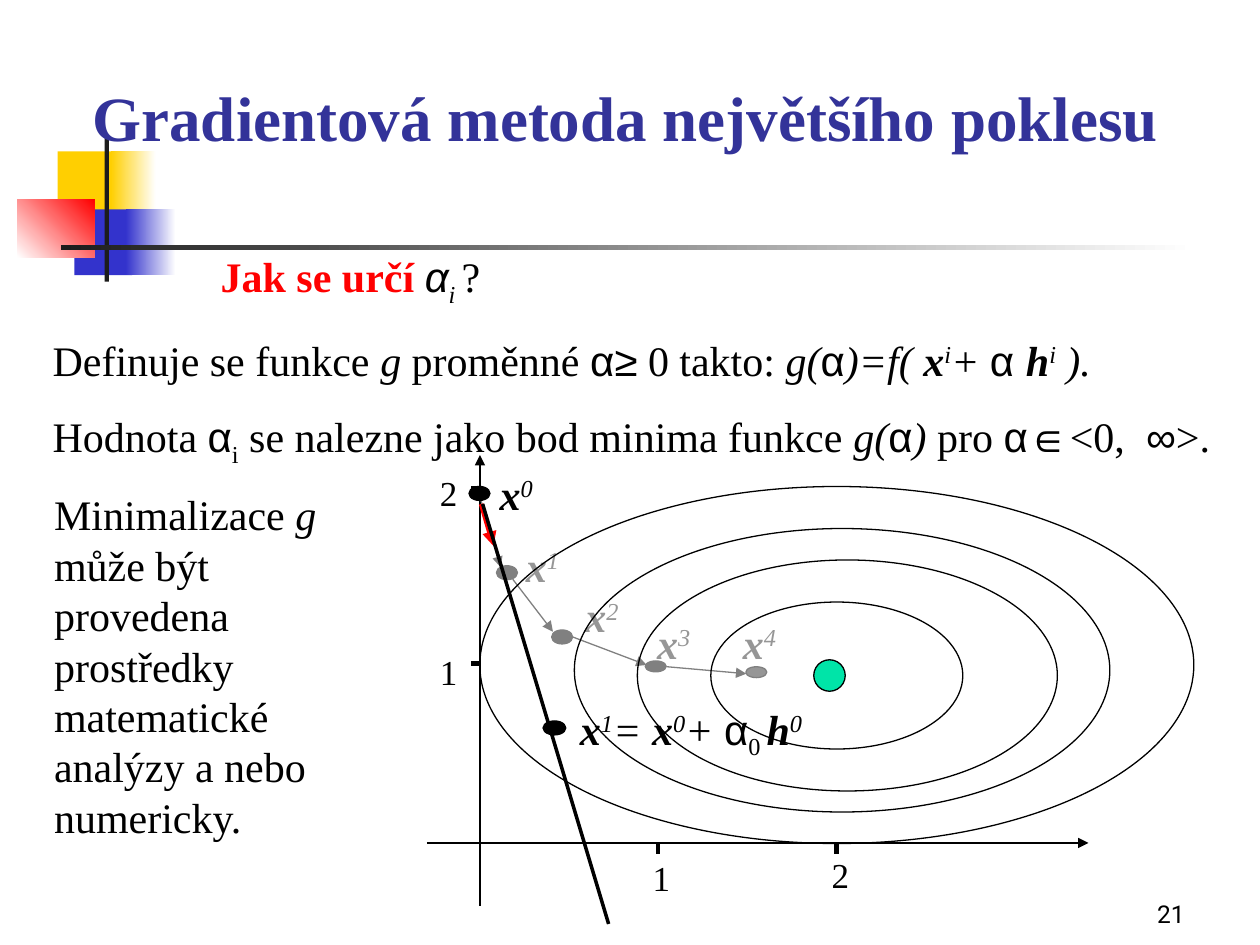
from lxml import etree
from pptx import Presentation
from pptx.dml.color import RGBColor
from pptx.enum import shapes, text
from pptx.oxml.ns import qn
from pptx.util import Pt

COLORS = {
    "black": "000000", "white": "FFFFFF", "ink": "1C1C1C", "title": "333399",
    "yellow": "FFCF01", "blue": "3333CC", "red": "FF0000", "green": "00E4A8",
    "gray": "808080", "pale": "969696",
}
SERIF = "Times New Roman"
BASELINES = {"^": "30000", "_": "-25000"}


def rgb(name):
    return RGBColor.from_string(COLORS[name])


def add_figure(parent, kind, frame, fill=None, line=None, fade=None, angle=0):
    """Add a preset shape; with fade, the fill runs on to a second colour."""
    figure = parent.add_shape(kind, *map(Pt, frame))
    figure.shadow.inherit = False
    if fade:
        figure.fill.gradient()
        figure.fill.gradient_angle = angle
        for stop, name, position in zip(figure.fill.gradient_stops, (fill, fade), (0, 1)):
            stop.color.rgb = rgb(name)
            stop.position = position
    elif fill:
        figure.fill.solid()
        figure.fill.fore_color.rgb = rgb(fill)
    else:
        figure.fill.background()
    if line:
        figure.line.color.rgb = rgb(line)
        figure.line.width = Pt(0.75)
    else:
        figure.line.fill.background()


def add_block(parent, frame, fill, fade=None, angle=0):
    add_figure(parent, shapes.MSO_SHAPE.RECTANGLE, frame, fill, fade=fade, angle=angle)


def add_oval(parent, frame, fill=None, line="black"):
    add_figure(parent, shapes.MSO_SHAPE.OVAL, frame, fill, line)


def add_line(parent, start, end, color="black", width=0.75, arrow=False):
    line = parent.add_connector(shapes.MSO_CONNECTOR.STRAIGHT, *map(Pt, start + end))
    line.line.color.rgb = rgb(color)
    line.line.width = Pt(width)
    if arrow:
        etree.SubElement(line.line._get_or_add_ln(), qn("a:tailEnd"), type="triangle")
    etree.SubElement(line._element.spPr, qn("a:effectLst"))


def add_text(parent, frame, paragraphs, size=24, color="black", font=SERIF,
             align=text.PP_ALIGN.LEFT, anchor=text.MSO_ANCHOR.TOP, bold=None):
    """Each paragraph is a list of (wording, marks): b bold, i italic,
    a Arial, r red, ^ superscript, _ subscript."""
    box = parent.add_textbox(*map(Pt, frame))
    body = box.text_frame
    body.word_wrap = True
    body.vertical_anchor = anchor
    for index, spans in enumerate(paragraphs):
        para = body.add_paragraph() if index else body.paragraphs[0]
        para.alignment = align
        if index:
            para.space_before = Pt(15)
        para.font.size = Pt(size)
        para.font.name = font
        para.font.color.rgb = rgb(color)
        para.font.bold = bold
        for wording, marks in spans:
            span = para.add_run()
            span.text = wording
            if "b" in marks:
                span.font.bold = True
            if "i" in marks:
                span.font.italic = True
            if "a" in marks:
                span.font.name = "Arial"
            if "r" in marks:
                span.font.color.rgb = rgb("red")
            for mark, offset in BASELINES.items():
                if mark in marks:
                    span._r.get_or_add_rPr().set("baseline", offset)
    return body


def add_point_label(parent, left, top, index, color):
    add_text(parent, (left, top, 60, 36), [[("x", "bi"), (index, "i^")]],
             color=color, align=text.PP_ALIGN.CENTER)


def add_decoration(page):
    add_block(page, (33, 86.5, 34.5, 37.5), "yellow")
    add_block(page, (63.5, 86.5, 25.5, 37.5), "yellow", "white")
    add_block(page, (42.5, 119.7, 33, 37.5), "blue")
    add_block(page, (72, 119.7, 28.5, 37.5), "blue", "white")
    add_block(page, (10, 114, 44, 33.2), "white", "red", 45)
    add_block(page, (59.8, 78, 2.5, 83), "ink")
    add_block(page, (34.8, 140.2, 648, 2.5), "ink", "white")


def add_wording(page):
    add_text(page, (12.2, 30.2, 690.5, 61.6), [[("Gradientová metoda největšího poklesu", "")]],
             size=36, color="title", align=text.PP_ALIGN.CENTER,
             anchor=text.MSO_ANCHOR.BOTTOM, bold=True)
    body = add_text(page, (23, 139.7, 681, 132), [
        [("Jak se určí ", "br"), ("α", "ai"), ("i ", "i_"), ("?", "")],
        [("Definuje se funkce ", ""), ("g", "i"), (" proměnné ", ""), ("α≥", "a"),
         (" 0 takto: ", ""), ("g(", "i"), ("α", "a"), (")=f( ", "i"), ("x", "bi"),
         ("i", "i^"), ("+ ", "i"), ("α ", "a"), ("h", "bi"), ("i", "i^"), (" ).", "i")],
        [("Hodnota ", ""), ("α", "a"), ("i", "_"),
         (" se nalezne jako bod minima funkce ", ""), ("g(", "i"), ("α", "a"),
         (") ", "i"), ("pro ", ""), ("α∈", "a"), ("<0,  ", ""), ("∞", "a"), (">.", "")],
    ])
    body.paragraphs[0]._p.get_or_add_pPr().set("marL", str(Pt(96)))
    add_text(page, (23.8, 275.8, 204, 209), [
        [("Minimalizace ", ""), ("g ", "i"),
         ("může být provedena prostředky matematické analýzy a nebo numericky.", "")]])
    add_text(page, (534.2, 498.2, 149.8, 36), [[("21", "")]], size=14, font="Roboto",
             align=text.PP_ALIGN.RIGHT, anchor=text.MSO_ANCHOR.BOTTOM)


def add_axes(page):
    add_line(page, (274.3, 517.7), (274.3, 260), arrow=True)
    add_line(page, (244, 481.7), (622, 481.7), arrow=True)
    add_line(page, (274.3, 380), (274.3, 278))
    for x in (376, 478):
        add_line(page, (x, 481.7), (x, 488), width=2.75)
    for y in (379, 279.3):
        add_line(page, (269.2, y), (275, y), width=2.75)
    for digit, left, top in (("1", 360, 486), ("1", 238.3, 368),
                             ("2", 238.3, 265.7), ("2", 462.2, 484)):
        add_text(page, (left, top, 36, 31.7), [[(digit, "")]], size=20,
                 align=text.PP_ALIGN.CENTER)


def add_descent(page):
    # Earlier iterations in gray
    for left, top, height, fill in ((283.7, 323.3, 8, "gray"), (315.2, 360, 8, "gray"),
                                    (368.7, 377.7, 6.2, "gray"), (426.2, 381, 6.2, "pale")):
        add_oval(page, (left, top, 12, height), fill, "gray")
    for start, end in (((274.3, 284), (286, 324)), ((293, 331), (316, 361)),
                       ((322, 362), (369.5, 380)), ((381, 381), (426.5, 385))):
        add_line(page, start, end, "gray", arrow=True)
    for index, left, top in (("1", 280, 305.3), ("2", 314, 334),
                             ("3", 355, 349.2), ("4", 404, 349.2)):
        add_point_label(page, left, top, index, "pale")

    # Contours and minimum
    add_oval(page, (465, 377, 18, 18), "green")
    for frame in ((274.2, 278, 408, 204), (328.2, 302, 306, 162),
                  (364.2, 320, 240, 132), (406.2, 344, 144, 84)):
        add_oval(page, frame)

    # Search direction
    add_line(page, (275, 288), (282, 312), "red", 2.75, arrow=True)
    add_line(page, (275.8, 288), (347.8, 528), width=2)

    # Start point and next point, each grouped with its label
    start = page.add_group_shape().shapes
    add_oval(start, (268, 278, 12, 8), "black")
    add_point_label(start, 265, 264.2, "0", "black")
    following = page.add_group_shape().shapes
    add_oval(following, (310.3, 412, 13, 8), "black")
    add_text(following, (316, 398.2, 161.3, 40), [
        [("x", "bi"), ("1", "i^"), ("= ", "i"), ("x", "bi"), ("0", "i^"), ("+ ", "i"),
         ("α", "a"), ("0 ", "_"), ("h", "bi"), ("0 ", "i^")]], align=text.PP_ALIGN.CENTER)


def main():
    deck = Presentation()
    deck.slide_width, deck.slide_height = Pt(720), Pt(540)
    page = deck.slides.add_slide(deck.slide_layouts[6]).shapes
    add_decoration(page)
    add_wording(page)
    add_axes(page)
    add_descent(page)
    deck.save("out.pptx")


if __name__ == "__main__":
    main()
